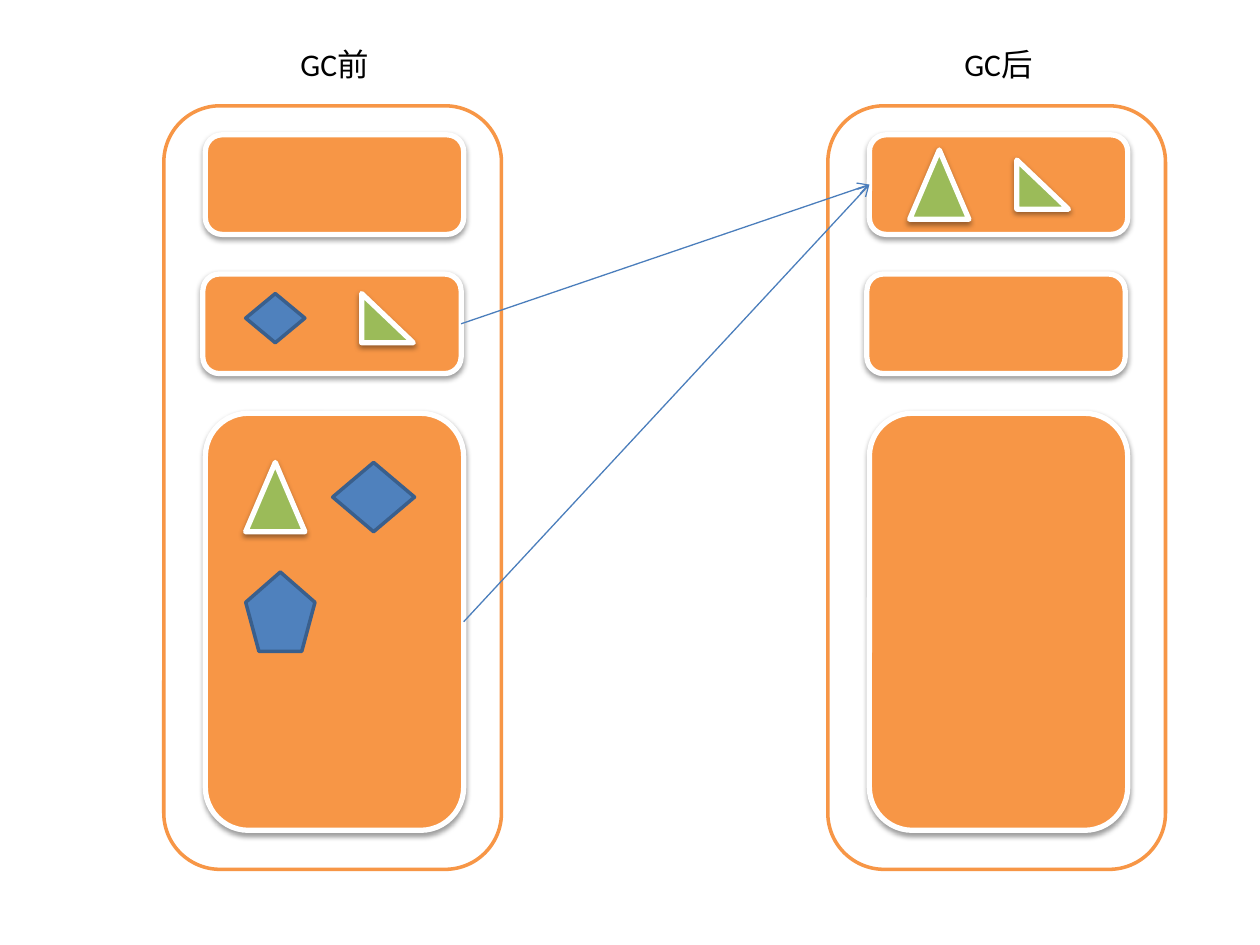
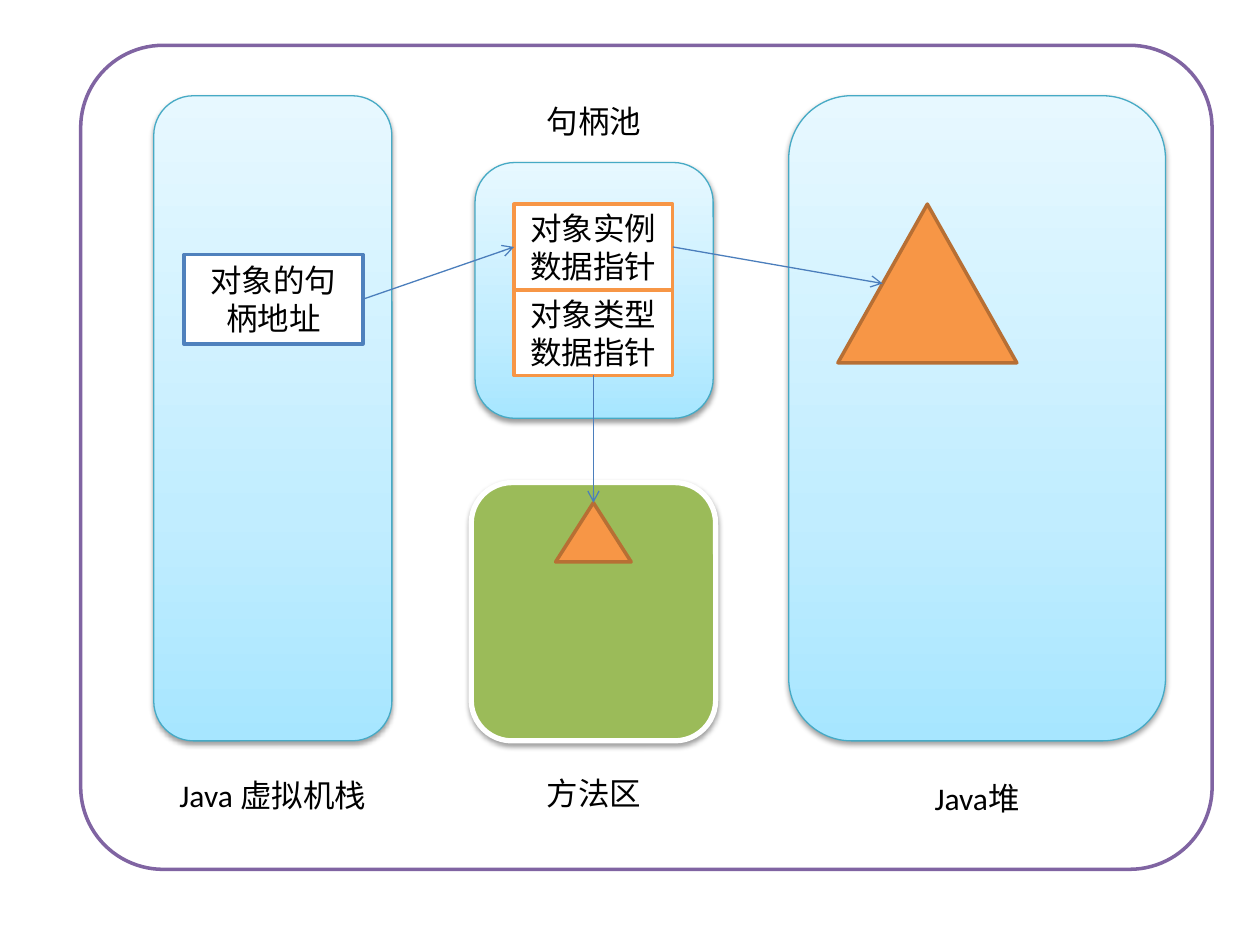
from lxml import etree
from pptx import Presentation
from pptx import util as u
from pptx.dml import color
from pptx.enum import shapes, text
from pptx.oxml import ns

COLORS = {
    "white": "FFFFFF", "black": "000000", "orange": "F79646", "rust": "B76F34",
    "green": "9BBB59", "blue": "4F81BD", "navy": "3A5F8C", "arrow": "4B7EBC",
    "purple": "8064A2", "teal": "46AAC5",
}
STYLES = {
    "frame": ("white", "orange", 2, False),
    "region": ("orange", "white", 3, True),
    "live": ("green", "white", 3, True),
    "garbage": ("blue", "navy", 2, False),
    "machine": ("white", "purple", 2, False),
    "area": (None, "teal", 0.75, True),
    "reference": ("white", "blue", 2, False),
    "pointer": ("white", "orange", 2, False),
    "object": ("orange", "rust", 2, False),
}
AREA_STOPS = [(0, "A7E6FF"), (35, "C1EDFF"), (100, "E7F8FF")]
KIND = shapes.MSO_SHAPE
ROUND = KIND.ROUNDED_RECTANGLE
TOP, LEFT, BOTTOM, RIGHT = range(4)


def rgb(name):
    return color.RGBColor.from_string(COLORS[name])


def add_node(parent, tag, **values):
    node = etree.SubElement(parent, ns.qn(tag))
    for name, value in values.items():
        node.set(name, str(value))
    return node


def add_effects(item, shadow=False):
    properties = item._element.spPr
    for old in properties.findall(ns.qn("a:effectLst")):
        properties.remove(old)
    effects = add_node(properties, "a:effectLst")
    if shadow:
        outer = add_node(effects, "a:outerShdw", blurRad=u.Pt(3.1), dist=u.Pt(1.6),
                         dir=90 * 60000, rotWithShape=0)
        shade = add_node(outer, "a:srgbClr", val=COLORS["black"])
        add_node(shade, "a:alpha", val=38000)


def fill_gradient(box):
    box.fill.gradient()
    box.fill.gradient_angle = 90
    stops = box._element.spPr.find(ns.qn("a:gradFill")).find(ns.qn("a:gsLst"))
    for old in list(stops):
        stops.remove(old)
    for position, value in AREA_STOPS:
        stop = add_node(stops, "a:gs", pos=position * 1000)
        add_node(stop, "a:srgbClr", val=value)


def add_box(parent, kind, style, left, top, width, height, words=None):
    fill, line, weight, shadow = STYLES[style]
    box = parent.shapes.add_shape(kind, *map(u.Inches, (left, top, width, height)))
    if fill:
        box.fill.solid()
        box.fill.fore_color.rgb = rgb(fill)
    else:
        fill_gradient(box)
    box.line.color.rgb = rgb(line)
    box.line.width = u.Pt(weight)
    box.shadow.inherit = False
    add_effects(box, shadow)
    if words:
        write(box.text_frame, words, vertical_anchor=text.MSO_ANCHOR.MIDDLE)
    return box


def write(frame, words, **settings):
    for name, value in {"word_wrap": True, **settings}.items():
        setattr(frame, name, value)
    para = frame.paragraphs[0]
    para.alignment = text.PP_ALIGN.CENTER
    span = para.add_run()
    span.text = words
    for name, value in {"name": "Calibri", "size": u.Pt(18)}.items():
        setattr(span.font, name, value)
    span.font.color.rgb = rgb("black")


def add_label(page, words, left, top, width):
    label = page.shapes.add_textbox(*map(u.Inches, (left, top, width, 0.4)))
    write(label.text_frame, words, auto_size=text.MSO_AUTO_SIZE.SHAPE_TO_FIT_TEXT)


def add_arrow(page, source, source_side, target, target_side, inset=0):
    arrow = page.shapes.add_connector(shapes.MSO_CONNECTOR.STRAIGHT, 0, 0, 0, 0)
    arrow.begin_connect(source, source_side)
    arrow.end_connect(target, target_side)
    arrow.end_x += inset
    arrow.line.color.rgb = rgb("arrow")
    arrow.line.width = u.Pt(0.75)
    add_node(arrow.line._get_or_add_ln(), "a:tailEnd", type="arrow")
    add_effects(arrow)


def add_heap(page, title, left):
    add_label(page, title, left + 0.34, 0.31, 2.03)
    heap = page.shapes.add_group_shape()
    add_box(heap, ROUND, "frame", left, 0.84, 2.68, 6.06)
    regions = [
        add_box(heap, ROUND, "region", left + shift, 1.07 + row * 1.105, 2.05, height)
        for row, (shift, height) in enumerate([(0.33, 0.79), (0.31, 0.79), (0.33, 3.31)])
    ]
    return heap, regions


def build_collection(page):
    before, (_, survivor, eden) = add_heap(page, "GC前", 1.3)
    after, (target, _, _) = add_heap(page, "GC后", 6.57)
    for heap, left, top in [(before, 1.95, 3.67), (after, 7.22, 1.19)]:
        add_box(heap, KIND.ISOSCELES_TRIANGLE, "live", left, top, 0.47, 0.55)
    for heap, left, top in [(before, 2.87, 2.33), (after, 8.07, 1.27)]:
        add_box(heap, KIND.RIGHT_TRIANGLE, "live", left, top, 0.41, 0.39)
    for kind, *place in [
        (KIND.DIAMOND, 1.95, 2.33, 0.47, 0.39),
        (KIND.DIAMOND, 2.64, 3.67, 0.65, 0.55),
        (KIND.REGULAR_PENTAGON, 1.95, 4.54, 0.55, 0.63),
    ]:
        add_box(before, kind, "garbage", *place)
    for source in (survivor, eden):
        add_arrow(page, source, RIGHT, target, LEFT)


def build_handles(page):
    machine = add_box(page, ROUND, "machine", 0.64, 0.36, 8.98, 6.54)
    machine.adjustments[0] = 0.1
    for place in [(1.22, 0.76, 1.89, 5.12), (3.77, 1.29, 1.89, 2.03), (6.26, 0.76, 2.99, 5.12)]:
        add_box(page, ROUND, "area", *place)
    add_box(page, ROUND, "region", 3.74, 3.83, 1.94, 2.05).fill.fore_color.rgb = rgb("green")
    for words, left, top in [
        ("Java 虚拟机栈", 1.3, 6.11), ("句柄池", 3.85, 0.76),
        ("Java堆", 6.89, 6.13), ("方法区", 3.85, 6.09),
    ]:
        add_label(page, words, left, top, 1.73)

    reference = add_box(page, KIND.RECTANGLE, "reference", 1.46, 2.02, 1.42, 0.71, "对象的句柄地址")
    instance_pointer, type_pointer = [
        add_box(page, KIND.RECTANGLE, "pointer", 4.08, 1.62 + row * 0.68, 1.26, 0.68, words)
        for row, words in enumerate(["对象实例数据指针", "对象类型数据指针"])
    ]
    instance = add_box(page, KIND.ISOSCELES_TRIANGLE, "object", 6.65, 1.62, 1.42, 1.26)
    type_data = add_box(page, KIND.ISOSCELES_TRIANGLE, "object", 4.41, 3.99, 0.6, 0.47)
    add_arrow(page, reference, RIGHT, instance_pointer, LEFT)
    add_arrow(page, instance_pointer, RIGHT, instance, LEFT, inset=instance.width // 4)
    add_arrow(page, type_pointer, BOTTOM, type_data, TOP)


def main():
    deck = Presentation()
    deck.slide_width, deck.slide_height = u.Inches(10), u.Inches(7.5)
    for build in (build_collection, build_handles):
        build(deck.slides.add_slide(deck.slide_layouts[6]))
    deck.save("out.pptx")


main()
